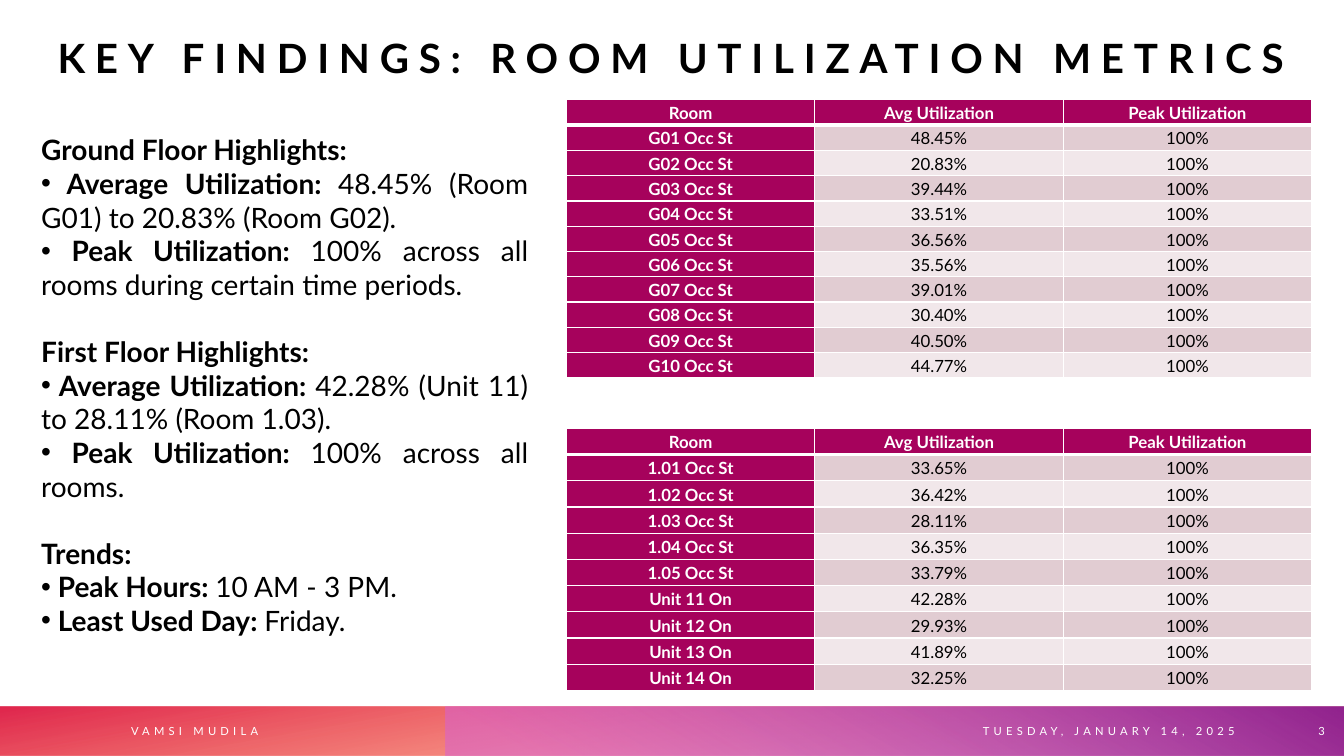
from dataclasses import dataclass

from lxml import etree
from pptx import Presentation
from pptx.dml.color import RGBColor
from pptx.enum.shapes import MSO_SHAPE
from pptx.enum.text import MSO_ANCHOR, PP_ALIGN
from pptx.oxml.ns import qn
from pptx.util import Inches, Pt

RECTANGLE = MSO_SHAPE.RECTANGLE
MIDDLE, BOTTOM = MSO_ANCHOR.MIDDLE, MSO_ANCHOR.BOTTOM
LEFT, CENTER, RIGHT, JUSTIFY = (
    PP_ALIGN.LEFT, PP_ALIGN.CENTER, PP_ALIGN.RIGHT, PP_ALIGN.JUSTIFY)
SLIDE_WIDTH, SLIDE_HEIGHT = Inches(13.333), Inches(7.5)


@dataclass(frozen=True)
class Theme:
    font: str = "Lato"
    title_size: float = 28.8
    body_size: float = 20
    table_size: float = 12
    footer_size: float = 8
    black: str = "000000"
    white: str = "FFFFFF"
    header: str = "A6025C"
    bands: tuple = ("E1CCD2", "F1E7EA")
    # Gradient stops: position, colour, opacity in percent
    red_band: tuple = ((14, "FE4A00", 28), (100, "DA002F", 85))
    purple_band: tuple = ((9, "D861D4", 55), (99, "92248E", 100))


THEME = Theme()

# Boxes are left, top, width, height in percent of the slide
TITLE_BOX = (2.33, 1.2, 95.26, 9.6)
HIGHLIGHTS_BOX = (2.33, 16.93, 37.72, 68.67)
GROUND_TABLE_BOX = (42.15, 13.2, 55.45, 36.8)
FIRST_TABLE_BOX = (42.15, 56.67, 55.45, 34.67)
FOOTER_TOP, FOOTER_HEIGHT = 93.45, 6.55
RED_BAND_BOX = (0, FOOTER_TOP, 100, FOOTER_HEIGHT)
PURPLE_BAND_BOX = (33.12, FOOTER_TOP, 66.88, FOOTER_HEIGHT)
FOOTER_BOX = (1.2, FOOTER_TOP, 94.05, FOOTER_HEIGHT)
NUMBER_BOX = (95.72, FOOTER_TOP, 3.6, FOOTER_HEIGHT)

HIGHLIGHTS = {
    "Ground Floor Highlights:": [
        ("Average Utilization: ", "48.45% (Room G01) to 20.83% (Room G02)."),
        ("Peak Utilization: ", "100% across all rooms during certain time periods."),
    ],
    "First Floor Highlights:": [
        ("Average Utilization: ", "42.28% (Unit 11) to 28.11% (Room 1.03)."),
        ("Peak Utilization: ", "100% across all rooms."),
    ],
    "Trends:": [
        ("Peak Hours: ", "10 AM - 3 PM."),
        ("Least Used Day: ", "Friday."),
    ],
}
TABLE_HEADER = ("Room", "Avg Utilization", "Peak Utilization")
PEAK = "100%"
GROUND_FLOOR = {
    "G01 Occ St": "48.45%", "G02 Occ St": "20.83%", "G03 Occ St": "39.44%",
    "G04 Occ St": "33.51%", "G05 Occ St": "36.56%", "G06 Occ St": "35.56%",
    "G07 Occ St": "39.01%", "G08 Occ St": "30.40%", "G09 Occ St": "40.50%",
    "G10 Occ St": "44.77%",
}
FIRST_FLOOR = {
    "1.01 Occ St": "33.65%", "1.02 Occ St": "36.42%", "1.03 Occ St": "28.11%",
    "1.04 Occ St": "36.35%", "1.05 Occ St": "33.79%", "Unit 11 On": "42.28%",
    "Unit 12 On": "29.93%", "Unit 13 On": "41.89%", "Unit 14 On": "32.25%",
}


def place(box):
    left, top, width, height = box
    return [int(share * size / 100) for share, size in (
        (left, SLIDE_WIDTH), (top, SLIDE_HEIGHT),
        (width, SLIDE_WIDTH), (height, SLIDE_HEIGHT))]


def style(paragraph, size, color, align, bold=None):
    paragraph.alignment = align
    font = paragraph.font
    font.name, font.size, font.bold = THEME.font, Pt(size), bold
    font.color.rgb = RGBColor.from_string(color)


def add_text_frame(slide, box, anchor=None):
    frame = slide.shapes.add_textbox(*place(box)).text_frame
    frame.word_wrap = True
    if anchor is not None:
        frame.vertical_anchor = anchor
    return frame


def add_line(frame, text, size, color, align, bold=None, tracking=0):
    """Fill a frame with one line of letter-spaced text."""
    paragraph = frame.paragraphs[0]
    run = paragraph.add_run()
    run.text = text
    style(paragraph, size, color, align, bold)
    run.font._element.set("spc", str(tracking * 100))
    return paragraph


def add_band(slide, box, stops, angle, rotation=0):
    band = slide.shapes.add_shape(RECTANGLE, *place(box))
    band.shadow.inherit = False
    band.line.fill.background()
    band.rotation = rotation
    band._element.spPr.find(qn("a:xfrm")).set("flipH", "1")
    band.fill.gradient()
    band.fill.gradient_angle = 360 - angle
    for stop, (position, color, _) in zip(band.fill.gradient_stops, stops):
        stop.position = position / 100
        stop.color.rgb = RGBColor.from_string(color)
    colors = band._element.spPr.iter(qn("a:srgbClr"))
    for color, (_, _, opacity) in zip(list(colors), stops):
        etree.SubElement(color, qn("a:alpha"), val=str(opacity * 1000))


def add_highlights(slide):
    frame = add_text_frame(slide, HIGHLIGHTS_BOX)
    for index, (heading, points) in enumerate(HIGHLIGHTS.items()):
        paragraph = frame.add_paragraph() if index else frame.paragraphs[0]
        paragraph.text = heading
        style(paragraph, THEME.body_size, THEME.black, JUSTIFY, bold=True)
        if index:
            paragraph.space_before = Pt(THEME.body_size * 1.2)
        for label, detail in points:
            add_bullet(frame.add_paragraph(), label, detail)


def add_bullet(paragraph, label, detail):
    for text, bold in ((" " + label, True), (detail, False)):
        run = paragraph.add_run()
        run.text, run.font.bold = text, bold
    properties = paragraph._p.get_or_add_pPr()
    properties.set("marL", "0")
    properties.set("indent", "0")
    etree.SubElement(properties, qn("a:buFont"), typeface="Arial")
    etree.SubElement(properties, qn("a:buChar"), char="•")
    style(paragraph, THEME.body_size, THEME.black, JUSTIFY)


def set_borders(cell, top, bottom):
    properties = cell._tc.get_or_add_tcPr()
    sides = (("L", 1), ("R", 1), ("T", top), ("B", bottom))
    for index, (side, width) in enumerate(sides):
        line = etree.Element(qn(f"a:ln{side}"), w=str(Pt(width)))
        fill = etree.SubElement(line, qn("a:solidFill"))
        etree.SubElement(fill, qn("a:srgbClr"), val=THEME.white)
        properties.insert(index, line)


def fill_cell(cell, text, row, column):
    strong = row == 0 or column == 0
    cell.fill.solid()
    cell.fill.fore_color.rgb = RGBColor.from_string(
        THEME.header if strong else THEME.bands[(row - 1) % 2])
    cell.vertical_anchor = MIDDLE
    cell.margin_left = cell.margin_right = Inches(0.01)
    cell.margin_top = cell.margin_bottom = Inches(0.01)
    paragraph = cell.text_frame.paragraphs[0]
    paragraph.text = text
    paragraph.line_spacing, paragraph.space_after = 1.07, Pt(8)
    style(paragraph, THEME.table_size, THEME.white if strong else THEME.black,
          CENTER, bold=strong)
    set_borders(cell, top=3 if row == 1 else 1, bottom=3 if row == 0 else 1)


def add_utilization_table(slide, box, averages):
    rows = [TABLE_HEADER] + [(room, average, PEAK) for room, average in averages.items()]
    position = place(box)
    table = slide.shapes.add_table(len(rows), len(TABLE_HEADER), *position).table
    for row, texts in enumerate(rows):
        table.rows[row].height = position[3] // len(rows)
        for column, text in enumerate(texts):
            fill_cell(table.cell(row, column), text, row, column)


def add_footer(slide):
    add_band(slide, RED_BAND_BOX, THEME.red_band, angle=100, rotation=180)
    add_band(slide, PURPLE_BAND_BOX, THEME.purple_band, angle=240)
    add_line(add_text_frame(slide, NUMBER_BOX, MIDDLE), "3",
             THEME.footer_size, THEME.white, RIGHT)
    # Author and date share one line, parted by a tab stop
    frame = add_text_frame(slide, FOOTER_BOX, MIDDLE)
    frame.margin_left = Inches(1.14)
    paragraph = add_line(frame, "VAMSI MUDILA\tTUESDAY, JANUARY 14, 2025",
                         THEME.footer_size, THEME.white, LEFT, tracking=3)
    tabs = etree.Element(qn("a:tabLst"))
    etree.SubElement(tabs, qn("a:tab"), pos=str(Inches(8.45)), algn="l")
    paragraph._p.pPr.find(qn("a:defRPr")).addprevious(tabs)


def main():
    presentation = Presentation()
    presentation.slide_width, presentation.slide_height = SLIDE_WIDTH, SLIDE_HEIGHT
    slide = presentation.slides.add_slide(presentation.slide_layouts[6])
    add_footer(slide)
    # Title
    frame = add_text_frame(slide, TITLE_BOX, BOTTOM)
    frame.margin_left = frame.margin_right = frame.margin_top = frame.margin_bottom = 0
    add_line(frame, "KEY FINDINGS: ROOM UTILIZATION METRICS",
             THEME.title_size, THEME.black, CENTER, bold=True, tracking=7)
    # Findings beside the tables of both floors
    add_highlights(slide)
    add_utilization_table(slide, GROUND_TABLE_BOX, GROUND_FLOOR)
    add_utilization_table(slide, FIRST_TABLE_BOX, FIRST_FLOOR)
    presentation.save("out.pptx")


if __name__ == "__main__":
    main()
